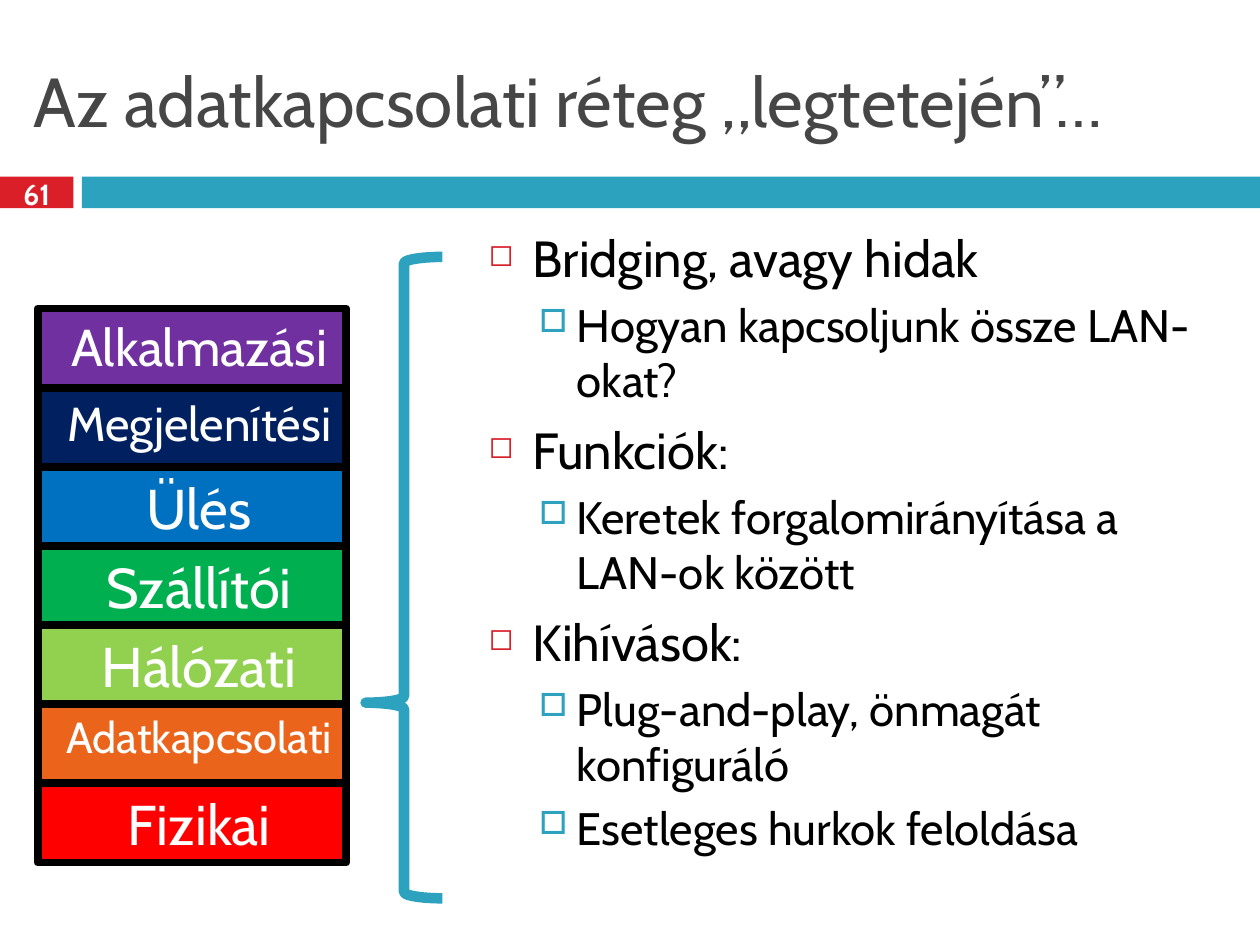
from pptx import Presentation
from pptx.dml.color import RGBColor
from pptx.enum.shapes import MSO_SHAPE as SHAPE
from pptx.enum.text import MSO_ANCHOR as ANCHOR, PP_ALIGN as ALIGN
from pptx.oxml import parse_xml
from pptx.oxml.ns import nsdecls
from pptx.util import Cm, Pt

FONT = "Cabin"
WHITE = RGBColor(0xFF, 0xFF, 0xFF)
BLACK = RGBColor(0, 0, 0)
GRAY = RGBColor(0x46, 0x46, 0x46)
RED = RGBColor(0xDA, 0x1F, 0x28)
TEAL = RGBColor(0x2D, 0xA2, 0xBF)

LAYERS = [
    ("Alkalmazási", 29.6, RGBColor(0x70, 0x30, 0xA0)),
    ("Megjelenítési", 27.2, RGBColor(0x00, 0x20, 0x60)),
    ("Ülés", 32, RGBColor(0x00, 0x70, 0xC0)),
    ("Szállítói", 32, RGBColor(0x00, 0xB0, 0x50)),
    ("Hálózati", 32, RGBColor(0x92, 0xD0, 0x50)),
    ("Adatkapcsolati", 24.8, RGBColor(0xEB, 0x64, 0x1B)),
    ("Fizikai", 32, RGBColor(0xFF, 0x00, 0x00)),
]
POINTS = [
    (0, "Bridging, avagy hidak"),
    (1, "Hogyan kapcsoljunk össze LAN-okat?"),
    (0, "Funkciók:"),
    (1, "Keretek forgalomirányítása a LAN-ok között"),
    (0, "Kihívások:"),
    (1, "Plug-and-play, önmagát konfiguráló"),
    (1, "Esetleges hurkok feloldása"),
]
# Per level: size, space before, left margin, hanging indent, bullet, its size and colour
LEVELS = [
    (29, 7, Cm(0.89), Cm(0.89), "◻", 60, RED),
    (26, 5.5, Cm(1.78), Cm(0.76), "□", 70, TEAL),
]


def add_run(p, text, size, color, bold=False):
    r = p.add_run()
    r.text = text
    r.font.name = FONT
    r.font.size = Pt(size)
    r.font.bold = bold
    r.font.color.rgb = color


def add_box(s, kind, x, y, w, h, fill=None, line=None, width=0):
    sp = s.shapes.add_shape(kind, x, y, w, h)
    sp.shadow.inherit = False
    if fill is None:
        sp.fill.background()
    else:
        sp.fill.solid()
        sp.fill.fore_color.rgb = fill
    if line is None:
        sp.line.fill.background()
    else:
        sp.line.color.rgb = line
        sp.line.width = Pt(width)
    return sp


def add_text(s, x, y, w, h, anchor=ANCHOR.TOP):
    tf = s.shapes.add_textbox(x, y, w, h).text_frame
    tf.word_wrap = True
    tf.vertical_anchor = anchor
    return tf


def add_bullet(p, level):
    size, before, left, hang, char, percent, color = LEVELS[level]
    p.level = level
    p.space_before = Pt(before)
    pPr = p._p.get_or_add_pPr()
    pPr.set("marL", str(left))
    pPr.set("indent", str(-hang))
    ns = nsdecls("a")
    for xml in (
        f'<a:buClr {ns}><a:srgbClr val="{color}"/></a:buClr>',
        f'<a:buSzPct {ns} val="{percent * 1000}"/>',
        f'<a:buChar {ns} char="{char}"/>',
    ):
        pPr.append(parse_xml(xml))


def header(s, x, y, w):
    # Title
    tf = add_text(s, x + Cm(0.43), y + Cm(0.64), w - Cm(0.86), Cm(2.74), ANCHOR.MIDDLE)
    add_run(tf.paragraphs[0], "Az adatkapcsolati réteg „legtetején”…", 39.6, GRAY)
    # Band with slide number
    top, tab, gap, h = y + Cm(3.56), Cm(1.48), Cm(0.17), Cm(0.64)
    add_box(s, SHAPE.RECTANGLE, x, top, tab, h, RED)
    add_box(s, SHAPE.RECTANGLE, x + tab + gap, top, w - tab - gap, h, TEAL)
    tf = add_text(s, x, top - Cm(0.08), tab, Cm(0.84), ANCHOR.MIDDLE)
    tf.margin_left = tf.margin_right = 0
    p = tf.paragraphs[0]
    p.alignment = ALIGN.CENTER
    add_run(p, "61", 16.6, WHITE, True)


def layer_stack(s, x, y, w, h):
    step = h / len(LAYERS)
    for i, (name, size, color) in enumerate(LAYERS):
        sp = add_box(s, SHAPE.RECTANGLE, x, int(y + i * step), w, int(step), color, BLACK, 4.5)
        tf = sp.text_frame
        tf.word_wrap = True
        tf.vertical_anchor = ANCHOR.TOP
        tf.margin_left, tf.margin_right = Cm(0.43), Cm(0.13)
        p = tf.paragraphs[0]
        p.alignment = ALIGN.CENTER
        add_run(p, name, size, WHITE)


def brace(s, x, y, w, h):
    sp = add_box(s, SHAPE.LEFT_BRACE, x, y, w, h, line=TEAL, width=6)
    sp.adjustments[0] = 0.083
    sp.adjustments[1] = 0.695


def bullet_list(s, x, y, w, h):
    tf = add_text(s, x, y, w, h)
    for i, (level, text) in enumerate(POINTS):
        p = tf.add_paragraph() if i else tf.paragraphs[0]
        add_bullet(p, level)
        add_run(p, text, LEVELS[level][0], BLACK)


prs = Presentation()
prs.slide_width, prs.slide_height = Cm(25.4), Cm(19.05)
s = prs.slides.add_slide(prs.slide_layouts[6])
header(s, 0, 0, prs.slide_width)
bullet_list(s, Cm(9.6), Cm(4.45), Cm(15.39), Cm(14.17))
layer_stack(s, Cm(0.76), Cm(6.22), Cm(6.22), Cm(11.17))
brace(s, Cm(7.37), Cm(5.18), Cm(1.55), Cm(12.93))
prs.save("out.pptx")
